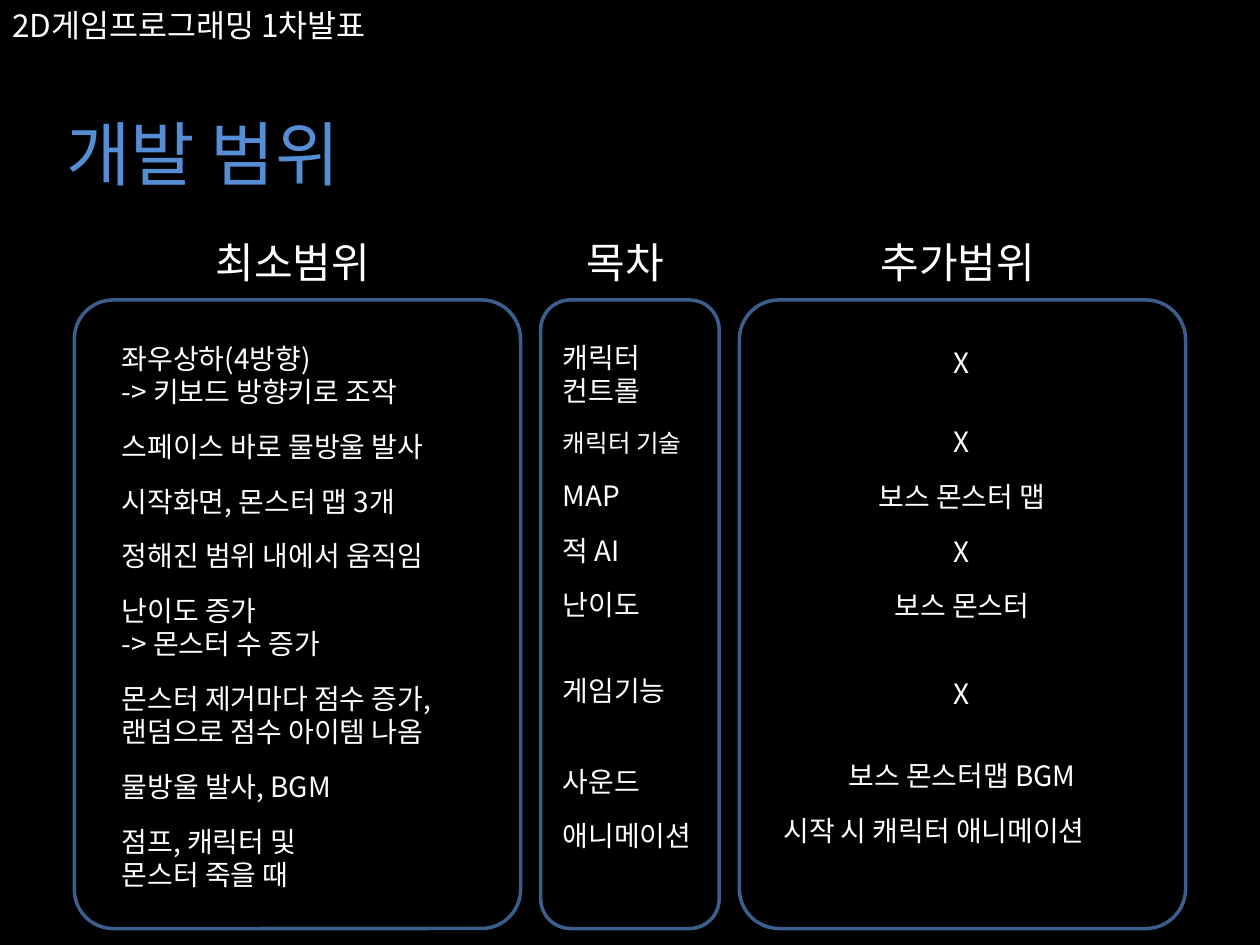
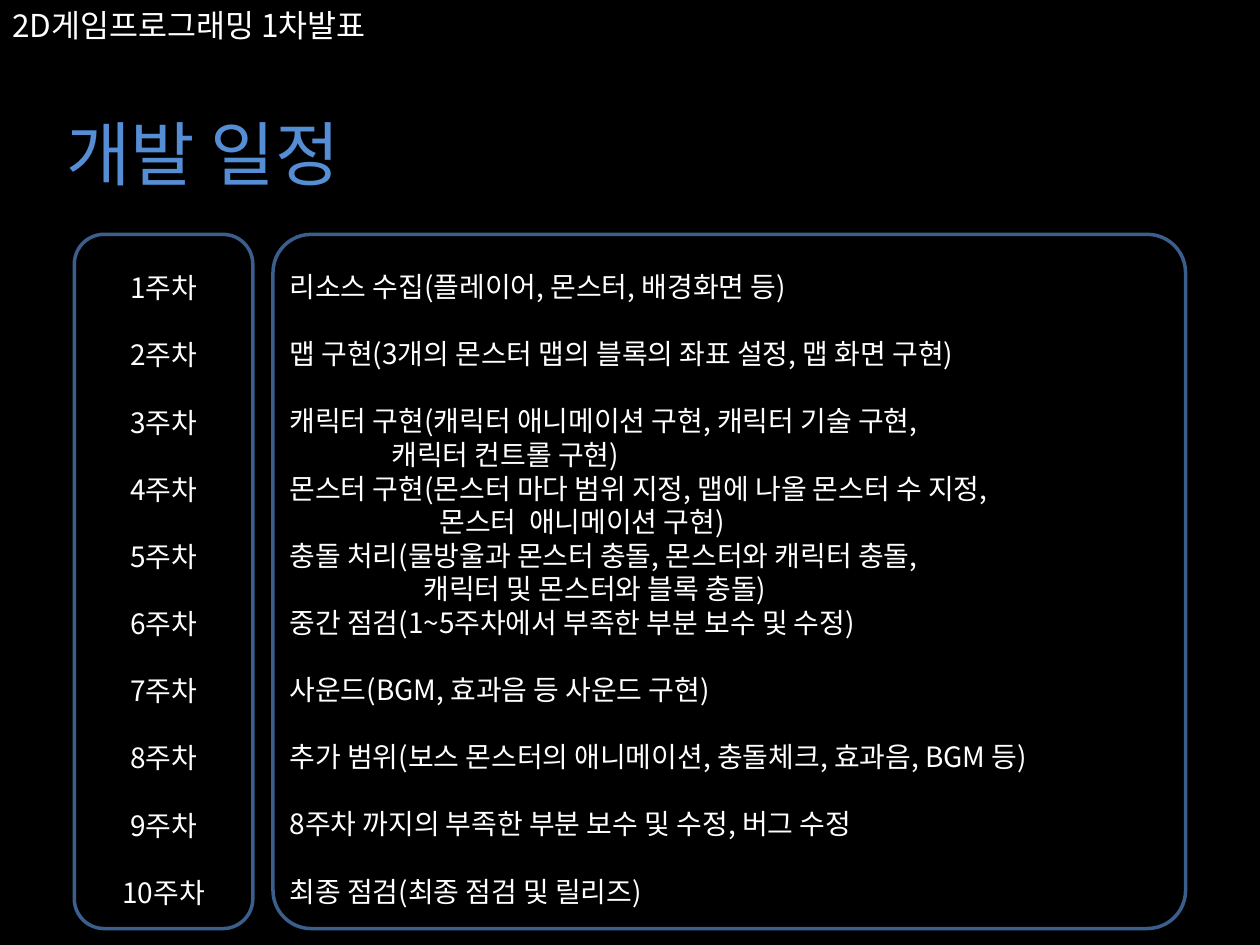
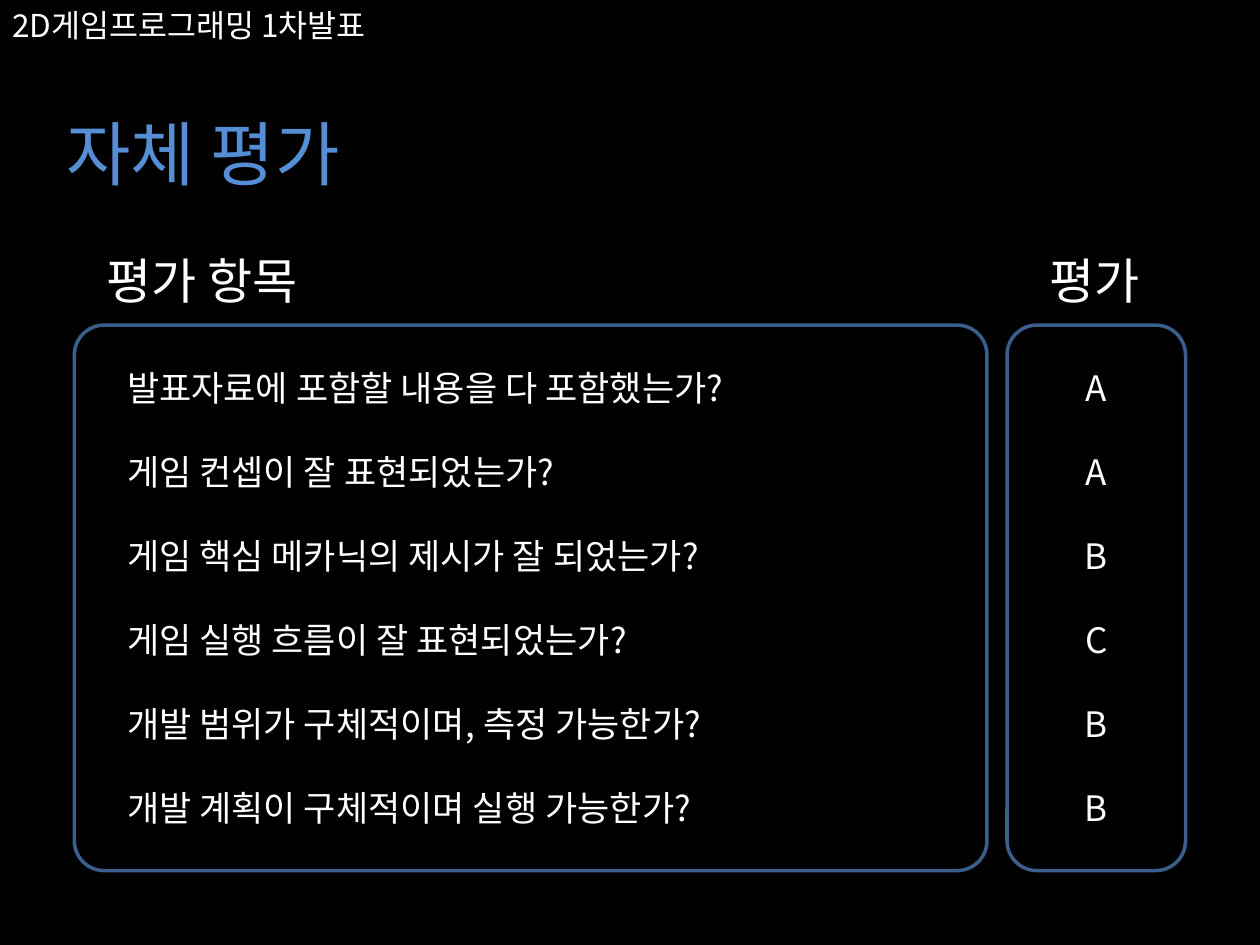
"""Build three game project slides: scope, schedule and self evaluation."""
import dataclasses

import lxml.etree
import pptx
import pptx.dml.color
import pptx.enum.shapes
import pptx.enum.text
import pptx.oxml.ns
import pptx.util

Pt = pptx.util.Pt
RGBColor = pptx.dml.color.RGBColor
LEFT = pptx.enum.text.PP_ALIGN.LEFT
CENTER = pptx.enum.text.PP_ALIGN.CENTER

BLACK = RGBColor(0x00, 0x00, 0x00)
WHITE = RGBColor(0xFF, 0xFF, 0xFF)
TITLE_BLUE = RGBColor(0x55, 0x8E, 0xD5)
BORDER_BLUE = RGBColor(0x3A, 0x5F, 0x8C)
FONT = "Noto Sans CJK KR"

MARGIN = 42.5
PANEL_GAP = 11.5
NARROW = 102
HALF = 255
WIDE = 521.5
ROW_GAP = 12
LINE_16 = 19.2
LINE_20 = 24


@dataclasses.dataclass
class Line:
    """One paragraph with the space above it and its own formatting."""
    text: str
    gap: float = 0
    size: float = 16
    align: int = LEFT
    indent: float = 0


def spaced(texts, gap, **style):
    """Return lines that stand one equal gap apart."""
    return [Line(text, gap if index else 0, **style) for index, text in enumerate(texts)]


def style_span(span, size, color):
    """Give a run its size, colour and fonts."""
    span.font.size = Pt(size)
    span.font.color.rgb = color
    span.font.name = FONT
    east_asian = lxml.etree.SubElement(span.font._element, pptx.oxml.ns.qn("a:ea"))
    east_asian.set("typeface", FONT)


def add_text(page, frame, lines, color=WHITE, wrap=True):
    """Add a text box that holds the given lines."""
    box = page.shapes.add_textbox(*[Pt(length) for length in frame])
    text_frame = box.text_frame
    text_frame.word_wrap = wrap
    text_frame.auto_size = pptx.enum.text.MSO_AUTO_SIZE.SHAPE_TO_FIT_TEXT
    text_frame.text = "\n".join(line.text for line in lines)
    for para, line in zip(text_frame.paragraphs, lines):
        para.alignment = line.align
        para.space_before = Pt(line.gap)
        if line.indent:
            para._p.get_or_add_pPr().set("marL", str(Pt(line.indent)))
        for span in para.runs:
            style_span(span, line.size, color)


def add_panels(page, top, bottom, panels):
    """Add a row of outlined panels, each given as width and corner radius."""
    left = MARGIN
    height = bottom - top
    for width, radius in panels:
        panel = page.shapes.add_shape(
            pptx.enum.shapes.MSO_SHAPE.ROUNDED_RECTANGLE,
            Pt(left), Pt(top), Pt(width), Pt(height))
        panel.adjustments[0] = radius / min(width, height)
        panel.shadow.inherit = False
        panel.fill.background()
        panel.line.color.rgb = BORDER_BLUE
        panel.line.width = Pt(2)
        left += width + PANEL_GAP


def add_page(deck, title):
    """Add a black page with its title and the running header."""
    page = deck.slides.add_slide(deck.slide_layouts[6])
    page.background.fill.solid()
    page.background.fill.fore_color.rgb = BLACK
    add_text(page, (31, 59.75, 198.5, 55.5), [Line(title, size=40)], TITLE_BLUE)
    add_text(page, (0, 0, 235.5, 29), [Line("2D게임프로그래밍 1차발표", size=18)], wrap=False)
    return page


def add_scope(deck):
    """Add the development scope page."""
    page = add_page(deck, "개발 범위")
    add_panels(page, 171.4, 530.6, [(HALF, 22.2), (NARROW, 17), (HALF, 22.7)])
    for heading, left, align in (("최소범위", 116, LEFT), ("추가범위", 496, LEFT),
                                 ("목차", 292.3, CENTER)):
        add_text(page, (left, 131.75, 130.3, 36), [Line(heading, size=24, align=align)])
    add_text(page, (314.6, 190.8, 95, 306.7), [
        Line("캐릭터"),
        Line("컨트롤"),
        Line("캐릭터 기술", ROW_GAP, size=14),
        Line("MAP", ROW_GAP),
        Line("적 AI", ROW_GAP),
        Line("난이도", ROW_GAP),
        Line("게임기능", 30),
        Line("사운드", 32.4),
        Line("애니메이션", ROW_GAP),
    ], wrap=False)
    add_text(page, (62.6, 191.5, 218.2, 324.7), [
        Line("좌우상하(4방향)"),
        Line("-> 키보드 방향키로 조작"),
        Line("스페이스 바로 물방울 발사", ROW_GAP),
        Line("시작화면, 몬스터 맵 3개", ROW_GAP),
        Line("정해진 범위 내에서 움직임", ROW_GAP),
        Line("난이도 증가", ROW_GAP),
        Line("-> 몬스터 수 증가"),
        Line("몬스터 제거마다 점수 증가, 랜덤으로 점수 아이템 나옴", ROW_GAP),
        Line("물방울 발사, BGM", ROW_GAP),
        Line("점프, 캐릭터 및", ROW_GAP),
        Line("몬스터 죽을 때"),
    ])
    add_text(page, (440.6, 193.7, 218.2, 303.8), [
        Line("X", align=CENTER),
        Line("X", 26.4, align=CENTER),
        Line("보스 몬스터 맵", ROW_GAP, align=CENTER),
        Line("X", ROW_GAP, align=CENTER),
        Line("보스 몬스터", ROW_GAP, align=CENTER),
        Line("X", 31.2, align=CENTER),
        Line("보스 몬스터맵 BGM", 27.6, align=CENTER),
        Line("시작 시 캐릭터 애니메이션", ROW_GAP),
    ])


def add_schedule(deck):
    """Add the ten-week schedule page."""
    page = add_page(deck, "개발 일정")
    add_panels(page, 133.9, 530.6, [(NARROW, 17), (WIDE, 21.8)])
    weeks = [f"{week}주차" for week in range(1, 11)]
    add_text(page, (MARGIN, 151.2, NARROW, 375.8), spaced(weeks, LINE_16, align=CENTER))
    add_text(page, (158.4, 150.5, 519.1, 375.8), [
        Line("리소스 수집(플레이어, 몬스터, 배경화면 등)"),
        Line("맵 구현(3개의 몬스터 맵의 블록의 좌표 설정, 맵 화면 구현)", LINE_16),
        Line("캐릭터 구현(캐릭터 애니메이션 구현, 캐릭터 기술 구현,", LINE_16),
        Line("캐릭터 컨트롤 구현)", indent=58.3),
        Line("몬스터 구현(몬스터 마다 범위 지정, 맵에 나올 몬스터 수 지정,"),
        Line("몬스터  애니메이션 구현)", indent=85.7),
        Line("충돌 처리(물방울과 몬스터 충돌, 몬스터와 캐릭터 충돌,"),
        Line("캐릭터 및 몬스터와 블록 충돌)", indent=76.6),
        Line("중간 점검(1~5주차에서 부족한 부분 보수 및 수정)"),
        Line("사운드(BGM, 효과음 등 사운드 구현)", LINE_16),
        Line("추가 범위(보스 몬스터의 애니메이션, 충돌체크, 효과음, BGM 등)", LINE_16),
        Line("8주차 까지의 부족한 부분 보수 및 수정, 버그 수정", LINE_16),
        Line("최종 점검(최종 점검 및 릴리즈)", LINE_16),
    ])


def add_evaluation(deck):
    """Add the self evaluation page."""
    page = add_page(deck, "자체 평가")
    add_panels(page, 185.8, 497.5, [(WIDE, 17), (NARROW, 17)])
    for heading, left, width in (("평가 항목", 54, 140.4), ("평가", 592.6, 71.3)):
        add_text(page, (left, 139.7, width, 41), [Line(heading, size=28)], wrap=False)
    questions = [
        "발표자료에 포함할 내용을 다 포함했는가?",
        "게임 컨셉이 잘 표현되었는가?",
        "게임 핵심 메카닉의 제시가 잘 되었는가?",
        "게임 실행 흐름이 잘 표현되었는가?",
        "개발 범위가 구체적이며, 측정 가능한가?",
        "개발 계획이 구체적이며 실행 가능한가?",
    ]
    add_text(page, (65.5, 205.9, 409, 273.6), spaced(questions, LINE_20, size=20), wrap=False)
    add_text(page, (575.5, 205.9, NARROW, 273.6),
             spaced("AABCBB", LINE_20, size=20, align=CENTER))


def main():
    """Build and save the deck."""
    deck = pptx.Presentation()
    deck.slide_width = Pt(720)
    deck.slide_height = Pt(540)
    add_scope(deck)
    add_schedule(deck)
    add_evaluation(deck)
    deck.save("out.pptx")


if __name__ == "__main__":
    main()
